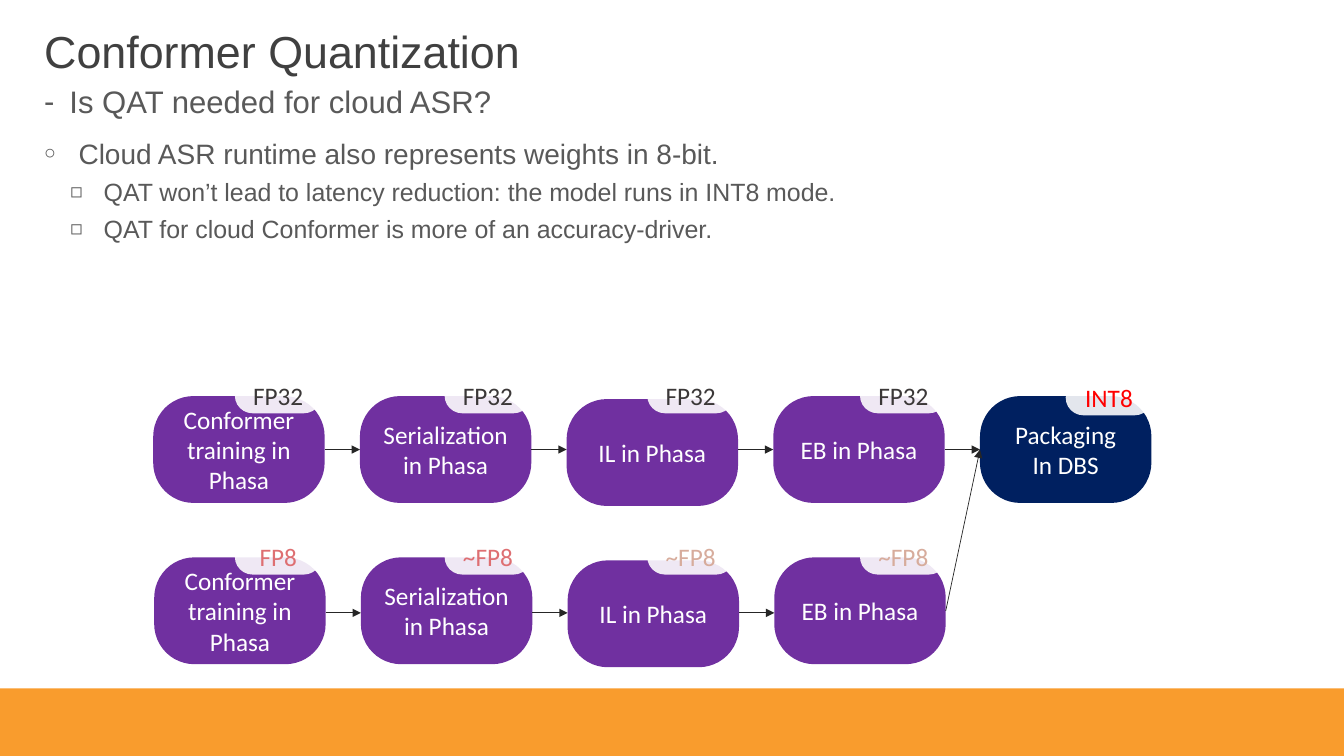
from dataclasses import dataclass
from typing import NamedTuple

from lxml import etree
from pptx import Presentation
from pptx.dml.color import RGBColor
from pptx.enum.shapes import MSO_CONNECTOR, MSO_SHAPE
from pptx.enum.text import MSO_ANCHOR, PP_ALIGN
from pptx.oxml.ns import qn
from pptx.shapes.autoshape import Shape
from pptx.shapes.connector import Connector
from pptx.slide import Slide
from pptx.text.text import TextFrame
from pptx.util import Inches, Pt

RECTANGLE = MSO_SHAPE.RECTANGLE
ROUNDED = MSO_SHAPE.ROUNDED_RECTANGLE
STRAIGHT = MSO_CONNECTOR.STRAIGHT
MIDDLE, TOP = MSO_ANCHOR.MIDDLE, MSO_ANCHOR.TOP
CENTER, LEFT = PP_ALIGN.CENTER, PP_ALIGN.LEFT
LEFT_SIDE, RIGHT_SIDE = 1, 3


@dataclass(frozen=True)
class Theme:
    heading_font: str = "Arial"
    diagram_font: str = "Calibri"
    title_size: float = 32
    question_size: float = 22.2
    point_size: float = 20
    detail_size: float = 17.8
    diagram_size: float = 18
    title: str = "404040"
    body: str = "595959"
    white: str = "FFFFFF"
    footer: str = "F99C2D"
    phasa: str = "7030A0"
    packaging: str = "002060"
    arrow: str = "262626"
    full_precision: str = "3B3838"
    int8: str = "FF0000"
    fp8: str = "DE6F72"
    faded_fp8: str = "D7AC9C"


THEME = Theme()


class Bullet(NamedTuple):
    mark: str
    margin: float
    hanging: float
    percent: int = 100
    level: int = 0


class Stage(NamedTuple):
    label: str
    precision: str
    precision_color: str
    badge_left: float
    fill: str = THEME.phasa
    drop: float = 0
    badge_drop: float = 0


class Pipeline(NamedTuple):
    left: float
    top: float
    arrow_y: float
    stages: list[Stage]


QUESTION_DASH = Bullet("-", 0.25, 0.25)
POINT_CIRCLE = Bullet("○", 0.34, 0.34, 70)
DETAIL_SQUARE = Bullet("◻\ufe0e", 0.59, 0.33, 80, 1)

STAGE_PITCH, STAGE_WIDTH, STAGE_HEIGHT = 2.05, 1.7, 1.06
BADGE_WIDTH, BADGE_HEIGHT, BADGE_RISE = 0.86, 0.35, 0.18

PHASA_STEPS = [
    ("Conformer training in Phasa", 2.33, 0),
    ("Serialization in Phasa", 4.41, 0),
    ("IL in Phasa", 6.42, 0.03),
    ("EB in Phasa", 8.53, 0),
]
FP8_PRECISIONS = [
    ("FP8", THEME.fp8),
    ("~FP8", THEME.fp8),
    ("~FP8", THEME.faded_fp8),
    ("~FP8", THEME.faded_fp8),
]


def phasa_stages(precisions: list[tuple[str, str]]) -> list[Stage]:
    return [
        Stage(label, precision, color, badge_left, drop=drop)
        for (label, badge_left, drop), (precision, color) in zip(PHASA_STEPS, precisions)
    ]


PACKAGING = Stage("Packaging\nIn DBS", "INT8", THEME.int8, 10.57, THEME.packaging, badge_drop=0.02)
FP32_PIPELINE = Pipeline(
    1.52, 3.93, 4.46, phasa_stages([("FP32", THEME.full_precision)] * 4) + [PACKAGING]
)
FP8_PIPELINE = Pipeline(1.53, 5.53, 6.08, phasa_stages(FP8_PRECISIONS))


def write_text(frame: TextFrame, text: str, *, size: float, color: str,
               font: str = THEME.heading_font, align: PP_ALIGN = LEFT,
               line_spacing: float = 1.0, space_before: float = 0,
               bullet: Bullet | None = None) -> None:
    for line in text.split("\n"):
        paragraph = frame.paragraphs[-1]
        if paragraph.runs:
            paragraph = frame.add_paragraph()
        paragraph.alignment = align
        paragraph.line_spacing = line_spacing
        paragraph.space_before = Pt(space_before)
        run = paragraph.add_run()
        run.text = line
        run.font.name = font
        run.font.size = Pt(size)
        run.font.color.rgb = RGBColor.from_string(color)
        if bullet:
            paragraph.level = bullet.level
            properties = paragraph._p.get_or_add_pPr()
            properties.set("marL", str(Inches(bullet.margin)))
            properties.set("indent", str(-Inches(bullet.hanging)))
            etree.SubElement(properties, qn("a:buSzPct"), val=str(bullet.percent * 1000))
            etree.SubElement(properties, qn("a:buFont"), typeface=font)
            etree.SubElement(properties, qn("a:buChar"), char=bullet.mark)


def add_text_area(slide: Slide, top: float, height: float, anchor: MSO_ANCHOR) -> TextFrame:
    area = slide.shapes.add_textbox(Inches(0.34), Inches(top), Inches(12.65), Inches(height))
    area.text_frame.word_wrap = True
    area.text_frame.vertical_anchor = anchor
    return area.text_frame


def add_block(slide: Slide, kind: MSO_SHAPE, left: float, top: float,
              width: float, height: float, fill: str) -> Shape:
    block = slide.shapes.add_shape(kind, Inches(left), Inches(top), Inches(width), Inches(height))
    block.shadow.inherit = False
    block.fill.solid()
    block.fill.fore_color.rgb = RGBColor.from_string(fill)
    block.line.fill.background()
    block.text_frame.vertical_anchor = MIDDLE
    return block


def add_stage(slide: Slide, stage: Stage, left: float, top: float) -> Shape:
    box = add_block(slide, ROUNDED, left, top + stage.drop, STAGE_WIDTH, STAGE_HEIGHT, stage.fill)
    box.adjustments[0] = 0.377
    badge = add_block(slide, ROUNDED, stage.badge_left, top - BADGE_RISE + stage.badge_drop,
                      BADGE_WIDTH, BADGE_HEIGHT, THEME.white)
    badge.adjustments[0] = 0.5
    badge_color = badge.element.spPr.find(qn("a:solidFill"))[0]
    etree.SubElement(badge_color, qn("a:alpha"), val="89000")
    for block, text, color in ((box, stage.label, THEME.white),
                               (badge, stage.precision, stage.precision_color)):
        write_text(block.text_frame, text, size=THEME.diagram_size, color=color,
                   font=THEME.diagram_font, align=CENTER)
    return box


def add_arrow(slide: Slide, source: Shape, target: Shape, y: float) -> Connector:
    arrow = slide.shapes.add_connector(
        STRAIGHT, source.left + source.width, Inches(y), target.left, Inches(y))
    arrow.line.width = Pt(0.5)
    arrow.line.color.rgb = RGBColor.from_string(THEME.arrow)
    etree.SubElement(arrow.line._get_or_add_ln(), qn("a:tailEnd"), type="triangle")
    etree.SubElement(arrow._element.spPr, qn("a:effectLst"))
    return arrow


def add_pipeline(slide: Slide, pipeline: Pipeline) -> list[Shape]:
    stages = pipeline.stages
    boxes = [add_stage(slide, stage, pipeline.left + i * STAGE_PITCH, pipeline.top)
             for i, stage in enumerate(stages)]
    joinable = [abs(pipeline.top + stage.drop + STAGE_HEIGHT / 2 - pipeline.arrow_y) < 0.01
                for stage in stages]
    for i, (source, target) in enumerate(zip(boxes, boxes[1:])):
        arrow = add_arrow(slide, source, target, pipeline.arrow_y)
        if joinable[i]:
            arrow.begin_connect(source, RIGHT_SIDE)
        if joinable[i + 1]:
            arrow.end_connect(target, LEFT_SIDE)
    return boxes


def main() -> None:
    deck = Presentation()
    deck.slide_width, deck.slide_height = Inches(13.33), Inches(7.5)
    slide = deck.slides.add_slide(deck.slide_layouts[6])
    add_block(slide, RECTANGLE, 0, 6.83, 13.33, 0.67, THEME.footer)

    write_text(add_text_area(slide, 0.25, 0.58, MIDDLE), "Conformer Quantization",
               size=THEME.title_size, color=THEME.title, line_spacing=0.9)
    write_text(add_text_area(slide, 0.85, 0.36, MIDDLE), "Is QAT needed for cloud ASR?",
               size=THEME.question_size, color=THEME.body, line_spacing=0.9,
               space_before=10, bullet=QUESTION_DASH)
    answer = add_text_area(slide, 1.3, 5.49, TOP)
    write_text(answer, "Cloud ASR runtime also represents weights in 8-bit.",
               size=THEME.point_size, color=THEME.body, space_before=10, bullet=POINT_CIRCLE)
    write_text(answer, "QAT won’t lead to latency reduction: the model runs in INT8 mode.\n"
               "QAT for cloud Conformer is more of an accuracy-driver.",
               size=THEME.detail_size, color=THEME.body, space_before=5, bullet=DETAIL_SQUARE)

    packaging = add_pipeline(slide, FP32_PIPELINE)[-1]
    fp8_eb = add_pipeline(slide, FP8_PIPELINE)[-1]
    merge = add_arrow(slide, fp8_eb, packaging, FP8_PIPELINE.arrow_y)
    merge.begin_connect(fp8_eb, RIGHT_SIDE)
    merge.end_connect(packaging, LEFT_SIDE)
    deck.save("out.pptx")


if __name__ == "__main__":
    main()
